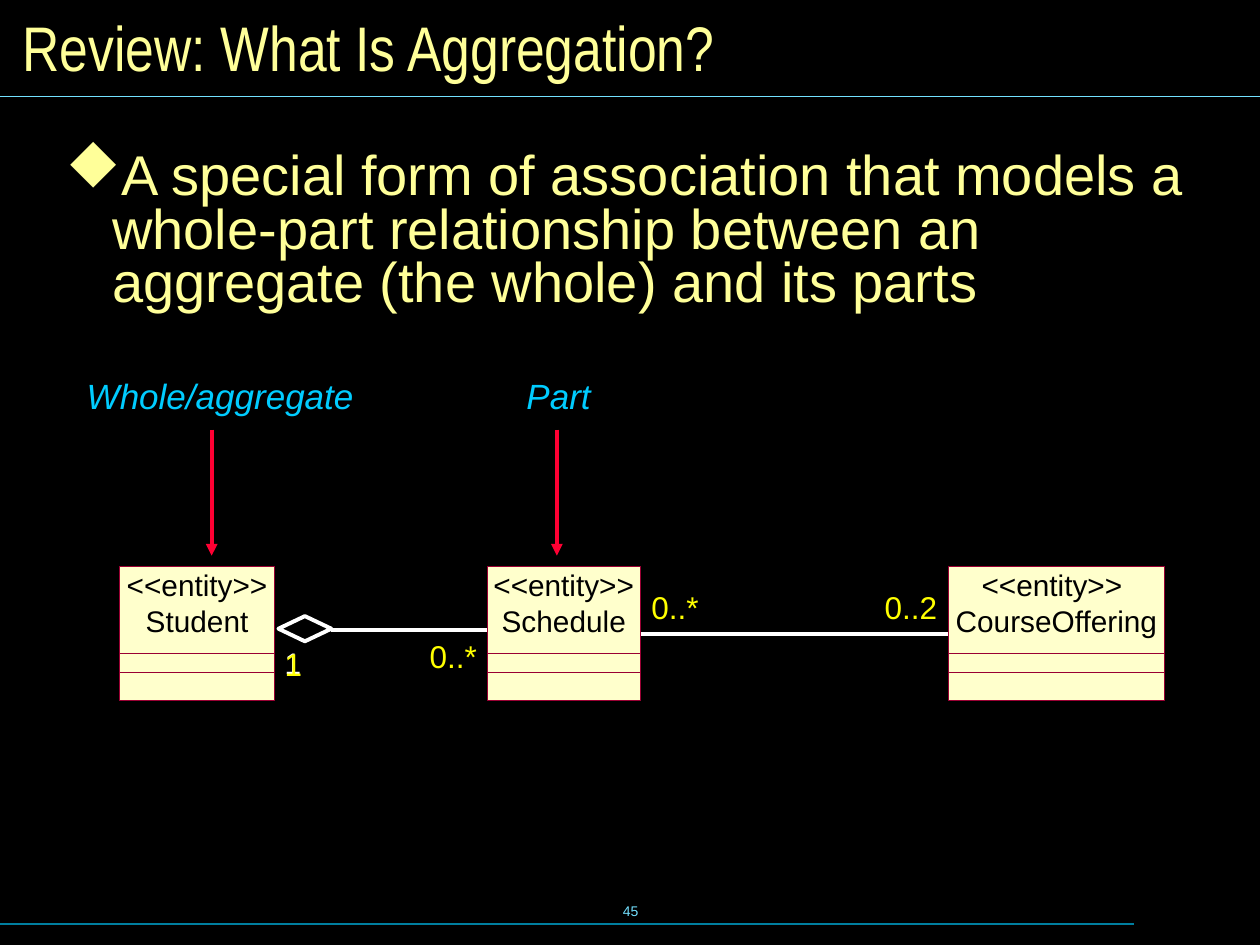
from dataclasses import dataclass

from lxml import etree
from pptx import Presentation
from pptx.dml.color import RGBColor
from pptx.enum.shapes import MSO_CONNECTOR, MSO_SHAPE
from pptx.enum.text import MSO_ANCHOR, PP_ALIGN
from pptx.oxml.ns import qn
from pptx.util import Emu, Inches, Pt

STRAIGHT = MSO_CONNECTOR.STRAIGHT
RECTANGLE = MSO_SHAPE.RECTANGLE
LEFT, CENTER = PP_ALIGN.LEFT, PP_ALIGN.CENTER
TOP, MIDDLE = MSO_ANCHOR.TOP, MSO_ANCHOR.MIDDLE
WIDTH, HEIGHT = Inches(10), Inches(7.5)
COLUMNS, ROWS = 100, 75


@dataclass(frozen=True)
class Theme:
    font: str = "Arial"
    title_font: str = "Arial Narrow"
    bullet_font: str = "Wingdings"
    background: str = "000000"
    heading: str = "FFFF99"
    rule: str = "73E1FF"
    dark_rule: str = "007E9F"
    callout: str = "00CCFF"
    arrow: str = "FF0033"
    link: str = "FFFFFF"
    multiplicity: str = "FFFF00"
    class_fill: str = "FFFFCC"
    class_line: str = "990033"
    class_text: str = "000000"
    title_size: float = 36
    body_size: float = 32
    callout_size: float = 20
    multiplicity_size: float = 18
    class_size: float = 17
    number_size: float = 8
    hairline: float = 0.01
    thin: float = 0.75
    thick: float = 2.25


@dataclass(frozen=True)
class Box:
    left: float
    top: float
    width: float
    height: float

    @property
    def right(self):
        return self.left + self.width

    @property
    def center(self):
        return self.left + self.width / 2


THEME = Theme()


def across(columns):
    return Emu(round(WIDTH * columns / COLUMNS))


def down(rows):
    return Emu(round(HEIGHT * rows / ROWS))


def frame_of(box):
    return across(box.left), down(box.top), across(box.width), down(box.height)


def fill_text(shape, text, size, color, align=LEFT, anchor=TOP, inset=(0, 0),
              wrap=False, italic=False, font=THEME.font):
    frame = shape.text_frame
    frame.word_wrap = wrap
    frame.vertical_anchor = anchor
    frame.margin_left = frame.margin_right = across(inset[0])
    frame.margin_top = frame.margin_bottom = down(inset[1])
    frame.text = text
    para = frame.paragraphs[0]
    para.alignment = align
    span = para.runs[0]
    span.font.name = font
    span.font.size = Pt(size)
    span.font.italic = italic
    span.font.color.rgb = RGBColor.from_string(color)
    return para


def add_text(page, box, text, size, color, **style):
    return fill_text(page.shapes.add_textbox(*frame_of(box)), text, size, color, **style)


def add_line(page, start, end, color, weight, arrow=False):
    line = page.shapes.add_connector(
        STRAIGHT, across(start[0]), down(start[1]), across(end[0]), down(end[1]))
    line.line.color.rgb = RGBColor.from_string(color)
    line.line.width = Pt(weight)
    if arrow:
        etree.SubElement(line.line._get_or_add_ln(), qn("a:tailEnd"), type="triangle")
    etree.SubElement(line._element.spPr, qn("a:effectLst"))


def add_title(page, box, text):
    title = page.shapes.title
    title.left, title.top, title.width, title.height = frame_of(box)
    fill_text(title, text, THEME.title_size, THEME.heading, anchor=MIDDLE,
              inset=(1, 0.5), wrap=True, font=THEME.title_font)
    add_line(page, (0, 7.64), (COLUMNS, 7.64), THEME.rule, THEME.thin)


def add_body(page, box, text):
    para = add_text(page, box, text, THEME.body_size, THEME.heading,
                    inset=(1.2, 0.6), wrap=True)
    para.line_spacing = 0.8
    properties = para._p.get_or_add_pPr()
    indent = across(3.7)
    properties.set("marL", str(indent))
    properties.set("indent", str(-indent))
    color = etree.SubElement(properties, qn("a:buClr"))
    etree.SubElement(color, qn("a:srgbClr"), val=THEME.heading)
    etree.SubElement(properties, qn("a:buFont"), typeface=THEME.bullet_font,
                     pitchFamily="2", charset="2")
    etree.SubElement(properties, qn("a:buChar"), char="u")


def add_callout(page, box, text, arrow_column):
    add_text(page, box, text, THEME.callout_size, THEME.callout,
             inset=(1, 0.5), wrap=True, italic=True)
    add_line(page, (arrow_column, 34.1), (arrow_column, 44.1),
             THEME.arrow, THEME.thick, arrow=True)


def add_class(page, box, name, stereotype_shift=0):
    bottom = box.top + box.height
    for top in (box.top, box.top + 6.9, box.top + 8.4):
        part = Box(box.left, top, box.width, bottom - top)
        shape = page.shapes.add_shape(RECTANGLE, *frame_of(part))
        shape.shadow.inherit = False
        shape.fill.solid()
        shape.fill.fore_color.rgb = RGBColor.from_string(THEME.class_fill)
        shape.line.color.rgb = RGBColor.from_string(THEME.class_line)
        shape.line.width = Pt(THEME.hairline)
    for row, (text, shift) in enumerate((("<<entity>>", stereotype_shift), (name, 0))):
        label = Box(box.left + shift, box.top + 2.8 * row, box.width, 2.8)
        add_text(page, label, text, THEME.class_size, THEME.class_text, align=CENTER)


def add_diamond(page, box):
    middle = box.top + box.height / 2
    corners = [(box.center, box.top + box.height), (box.right, middle),
               (box.center, box.top)]
    builder = page.shapes.build_freeform(across(box.left), down(middle))
    builder.add_line_segments([(across(x), down(y)) for x, y in corners], close=True)
    diamond = builder.convert_to_shape()
    diamond.shadow.inherit = False
    diamond.fill.background()
    diamond.line.color.rgb = RGBColor.from_string(THEME.link)
    diamond.line.width = Pt(THEME.thick)


def add_diagram(page, top):
    student = Box(9.5, top, 12.3, 10.6)
    schedule = Box(38.7, top, 12.1, 10.6)
    offering = Box(75.3, top, 17.1, 10.6)
    diamond = Box(22.1, top + 3.9, 4.2, 2)
    add_line(page, (schedule.left, top + 5), (diamond.right, top + 5),
             THEME.link, THEME.thick)
    add_line(page, (offering.left, top + 5.3), (schedule.right, top + 5.3),
             THEME.link, THEME.thick)
    add_class(page, student, "Student")
    add_class(page, schedule, "Schedule")
    add_class(page, offering, "CourseOffering", stereotype_shift=-0.35)
    add_diamond(page, diamond)
    near_student = Box(22.6, top + 6.2, 1.4, 3)
    add_text(page, near_student, "1", THEME.class_size, THEME.link)
    multiplicities = (
        (near_student, "1"),
        (Box(34.1, top + 5.6, 3.8, 3), "0..*"),
        (Box(51.7, top + 1.7, 3.8, 3), "0..*"),
        (Box(70.2, top + 1.7, 4.2, 3), "0..2"),
    )
    for box, text in multiplicities:
        add_text(page, box, text, THEME.multiplicity_size, THEME.multiplicity)


def add_footer(page, box, number):
    add_text(page, box, number, THEME.number_size, THEME.rule,
             align=CENTER, anchor=MIDDLE, inset=(1, 0.5))
    add_line(page, (0, 73.33), (90, 73.33), THEME.dark_rule, THEME.thin)


def main():
    deck = Presentation()
    deck.slide_width, deck.slide_height = WIDTH, HEIGHT
    page = deck.slides.add_slide(deck.slide_layouts.get_by_name("Title Only"))
    page.background.fill.solid()
    page.background.fill.fore_color.rgb = RGBColor.from_string(THEME.background)
    add_footer(page, Box(34.2, 69.8, 31.7, 5), "45")
    add_title(page, Box(0.8, 0.8, 98.4, 5.8), "Review: What Is Aggregation?")
    add_body(page, Box(4, 11.5, 92.9, 55.2),
             "A special form of association that models a whole-part relationship "
             "between an aggregate (the whole) and its parts")
    add_callout(page, Box(5.9, 29.2, 23.6, 4.4), "Whole/aggregate", 16.8)
    add_callout(page, Box(40.8, 29.2, 8.9, 4.4), "Part", 44.2)
    add_diagram(page, 45)
    deck.save("out.pptx")


if __name__ == "__main__":
    main()
